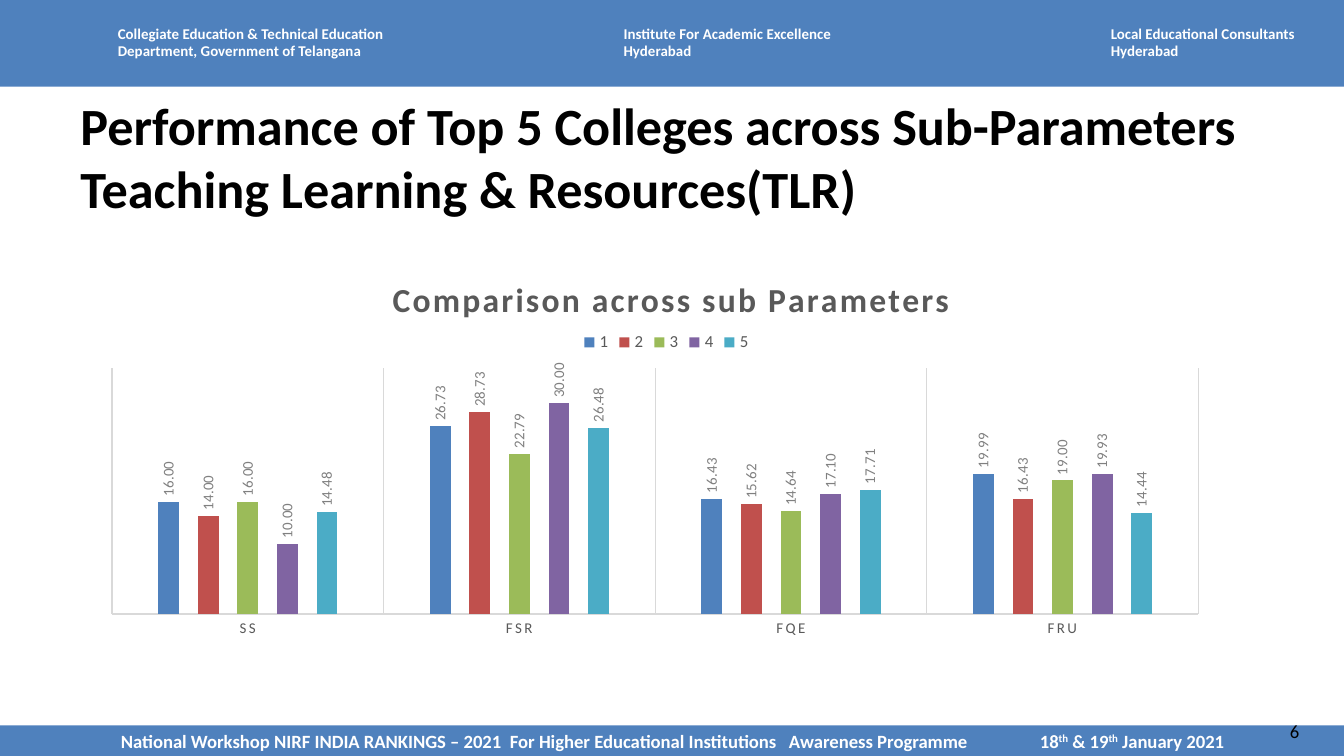
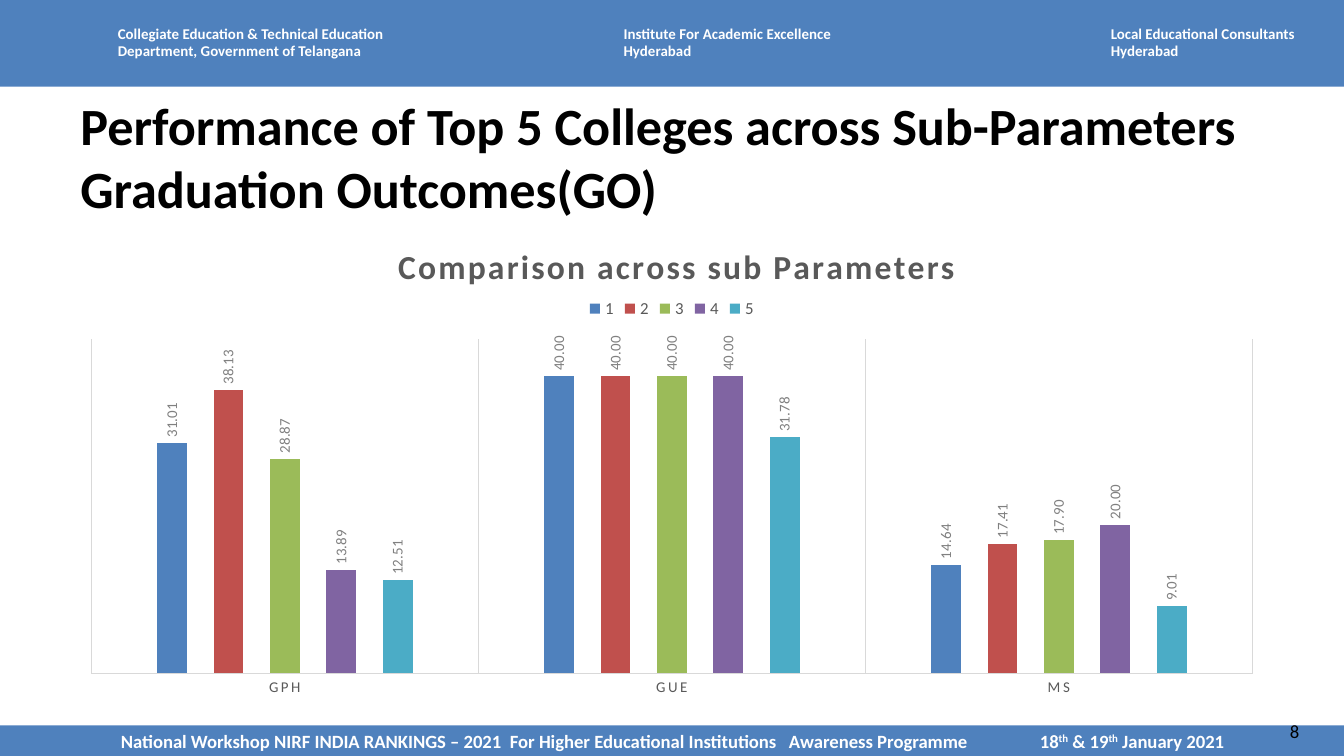
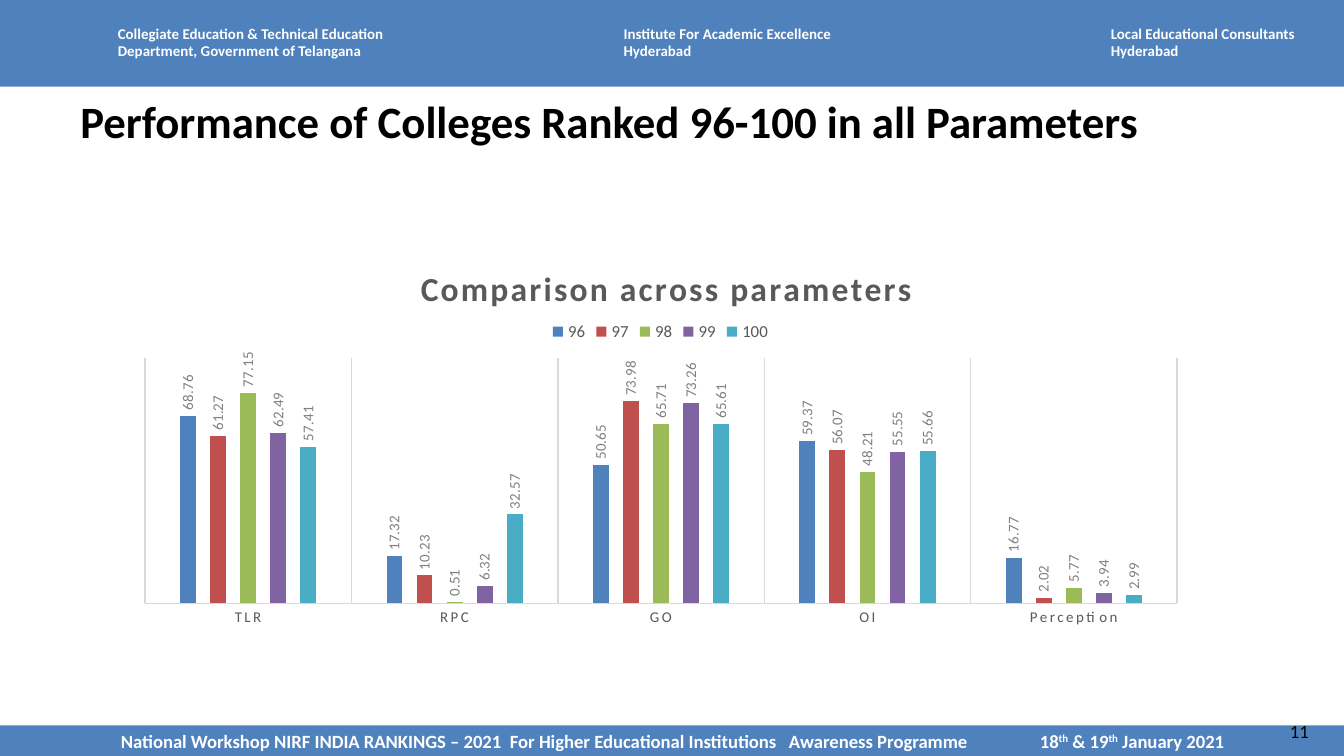
from lxml.etree import SubElement
from pptx import Presentation
from pptx.chart.data import CategoryChartData
from pptx.dml.color import RGBColor
from pptx.enum.chart import XL_CHART_TYPE, XL_LABEL_POSITION, XL_LEGEND_POSITION, XL_TICK_MARK
from pptx.enum.shapes import MSO_SHAPE
from pptx.enum.text import MSO_ANCHOR, PP_ALIGN
from pptx.oxml.ns import qn
from pptx.util import Pt

FONT = "Calibri"
BLUE, WHITE, BLACK = "4F81BD", "FFFFFF", "000000"
TEXT_GREY, LABEL_GREY, LINE_GREY = "595959", "808080", "D9D9D9"
SERIES_COLORS = [BLUE, "C0504D", "9BBB59", "8064A2", "4BACC6"]
WIDTH, HEIGHT = 720, 405
HEADER_HEIGHT, FOOTER_TOP = 46.5, 388.6
TITLE_TOP, LEGEND_TOP = 14.5, 45  # inside each chart
LETTER_SPACING = "120"  # hundredths of a point

# left, width, lines
ORGANISERS = [
    (56, 165, ["Collegiate Education & Technical Education",
               "Department, Government of Telangana"]),
    (327, 130, ["Institute For Academic Excellence", "Hyderabad"]),
    (588, 125, ["Local Educational Consultants", "Hyderabad"]),
]
FOOTER_INSET = 64.8
FOOTER_TABS = [208.4, 357.9, 492.3]
# text, raised
FOOTER = [
    ("National Workshop NIRF INDIA RANKINGS – 2021\tFor Higher Educational "
     "Institutions\tAwareness Programme\t18", False),
    ("th", True), (" & 19", False), ("th", True), (" January 2021", False),
]

SLIDES = [
    {
        "number": "6",
        "title": "Performance of Top 5 Colleges across Sub-Parameters "
                 "Teaching Learning & Resources(TLR)",
        "title_size": 28,
        "chart_at": (54, 130.3, 606.2, 216),
        "chart_title": "Comparison across sub Parameters",
        "chart_title_width": 300,
        "legend_width": 94,
        "plot_at": (0.01, 0.31, 0.96, 0.61),
        "maximum": 35,
        "categories": ["SS", "FSR", "FQE", "FRU"],
        "series": {
            "1": [16, 26.73, 16.43, 19.99],
            "2": [14, 28.73, 15.62, 16.43],
            "3": [16, 22.79, 14.64, 19],
            "4": [10, 30, 17.1, 19.93],
            "5": [14.48, 26.48, 17.71, 14.44],
        },
    },
    {
        "number": "8",
        "title": "Performance of Top 5 Colleges across Sub-Parameters "
                 "Graduation Outcomes(GO)",
        "title_size": 28,
        "chart_at": (36, 112.3, 648, 267.1),
        "chart_title": "Comparison across sub Parameters",
        "chart_title_width": 300,
        "legend_width": 94,
        "plot_at": (0.02, 0.26, 0.96, 0.67),
        "maximum": 45,
        "categories": ["GPH", "GUE", "MS"],
        "series": {
            "1": [31.01, 40, 14.64],
            "2": [38.13, 40, 17.41],
            "3": [28.87, 40, 17.9],
            "4": [13.89, 40, 20],
            "5": [12.51, 31.78, 9.01],
        },
    },
    {
        "number": "11",
        "title": "Performance of Colleges Ranked 96-100 in all Parameters",
        "title_size": 24,
        "chart_at": (66.2, 124.6, 576, 216),
        "chart_title": "Comparison across parameters",
        "chart_title_width": 264,
        "legend_width": 122,
        "plot_at": (0.02, 0.31, 0.96, 0.61),
        "maximum": 90,
        "categories": ["TLR", "RPC", "GO", "OI", "Perception"],
        "series": {
            "96": [68.76, 17.32, 50.65, 59.37, 16.77],
            "97": [61.27, 10.23, 73.98, 56.07, 2.02],
            "98": [77.15, 0.51, 65.71, 48.21, 5.77],
            "99": [62.49, 6.32, 73.26, 55.55, 3.94],
            "100": [57.41, 32.57, 65.61, 55.66, 2.99],
        },
    },
]


def color(value):
    return RGBColor.from_string(value)


def style_font(font, size, value, bold=False):
    font.name, font.size, font.bold = FONT, Pt(size), bold
    font.color.rgb = color(value)


def add_span(para, text, size, value, bold=False):
    span = para.add_run()
    span.text = text
    style_font(span.font, size, value, bold)
    return span


def add_text(slide, at, lines, size, value, bold=False):
    box = slide.shapes.add_textbox(*map(Pt, at))
    frame = box.text_frame
    frame.word_wrap = True
    for index, line in enumerate(lines):
        para = frame.add_paragraph() if index else frame.paragraphs[0]
        add_span(para, line, size, value, bold)


def add_band(slide, top, height):
    band = slide.shapes.add_shape(MSO_SHAPE.RECTANGLE, 0, Pt(top), Pt(WIDTH), Pt(height))
    band.shadow.inherit = False
    band.fill.solid()
    band.fill.fore_color.rgb = color(BLUE)
    band.line.fill.background()
    return band


def add_header(slide):
    add_band(slide, 0, HEADER_HEIGHT)
    for left, width, lines in ORGANISERS:
        add_text(slide, (left, 9.4, width, 26.6), lines, 8, WHITE, True)


def add_footer(slide, number):
    frame = add_band(slide, FOOTER_TOP, HEIGHT - FOOTER_TOP).text_frame
    frame.vertical_anchor = MSO_ANCHOR.MIDDLE
    frame.margin_left, frame.margin_right = Pt(FOOTER_INSET), 0
    frame.word_wrap = True
    para = frame.paragraphs[0]
    para.alignment = PP_ALIGN.LEFT
    tabs = SubElement(para._p.get_or_add_pPr(), qn("a:tabLst"))
    for position in FOOTER_TABS:
        SubElement(tabs, qn("a:tab"), pos=str(int(Pt(position))), algn="l")
    for text, raised in FOOTER:
        span = add_span(para, text, 10, WHITE, True)
        if raised:
            span._r.get_or_add_rPr().set("baseline", "30000")
    add_text(slide, (684, 382.3, 36, 19.4), [number], 10, BLACK)


def place(element, **fractions):
    """Give a chart part a fixed place, as fractions of the chart."""
    for old in element.findall(qn("c:layout")):
        element.remove(old)
    layout = element.makeelement(qn("c:layout"))
    overlay = element.find(qn("c:overlay"))
    if overlay is None:
        element.insert(0, layout)
    else:
        overlay.addprevious(layout)
    manual = SubElement(layout, qn("c:manualLayout"))
    if "w" in fractions:
        SubElement(manual, qn("c:layoutTarget"), val="inner")
    for mode in ("xMode", "yMode"):
        SubElement(manual, qn("c:" + mode), val="edge")
    for name, fraction in fractions.items():
        SubElement(manual, qn("c:" + name), val=f"{fraction:.4f}")


def style_axes(chart, maximum):
    values = chart.value_axis
    values.minimum_scale, values.maximum_scale = 0, maximum
    values.has_major_gridlines = False
    values.tick_labels.number_format = "0.00"
    values.tick_labels.number_format_is_linked = False
    values.visible = False
    axis = chart.category_axis
    axis.major_tick_mark = axis.minor_tick_mark = XL_TICK_MARK.NONE
    axis.has_major_gridlines = True
    for line in (axis.format.line, axis.major_gridlines.format.line):
        line.width = Pt(0.75)
        line.color.rgb = color(LINE_GREY)
    style_font(axis.tick_labels.font, 8, TEXT_GREY)
    axis._element.find(".//" + qn("a:defRPr")).set("spc", LETTER_SPACING)


def style_series(series, value):
    series.smooth = False if hasattr(series, "smooth") else None
    series.format.fill.solid()
    series.format.fill.fore_color.rgb = color(value)
    labels = series.data_labels
    labels.show_value = True
    labels.position = XL_LABEL_POSITION.OUTSIDE_END
    labels.number_format = "0.00"
    labels.number_format_is_linked = False
    style_font(labels.font, 8, LABEL_GREY)
    body = labels._element.find(".//" + qn("a:bodyPr"))
    body.set("rot", "-5400000")
    body.set("vert", "horz")


def add_comparison(slide, content):
    data = CategoryChartData(number_format="0.00")
    data.categories = content["categories"]
    for name, values in content["series"].items():
        data.add_series(name, values)
    at = content["chart_at"]
    width, height = at[2:]
    chart = slide.shapes.add_chart(XL_CHART_TYPE.COLUMN_CLUSTERED, *map(Pt, at), data).chart
    style_font(chart.font, 10, BLACK)

    chart.has_title = True
    para = chart.chart_title.text_frame.paragraphs[0]
    span = add_span(para, content["chart_title"], 18, TEXT_GREY, True)
    span._r.get_or_add_rPr().set("spc", LETTER_SPACING)
    place(chart.chart_title._element,
          x=(1 - content["chart_title_width"] / width) / 2, y=TITLE_TOP / height)

    chart.has_legend = True
    legend = chart.legend
    legend.position = XL_LEGEND_POSITION.TOP
    legend.include_in_layout = False
    style_font(legend.font, 9, TEXT_GREY)
    place(legend._element,
          x=(1 - content["legend_width"] / width) / 2, y=LEGEND_TOP / height)

    plot = chart.plots[0]
    plot.gap_width, plot.overlap, plot.vary_by_categories = 444, -90, False
    place(chart._chartSpace.find(".//" + qn("c:plotArea")),
          **dict(zip("xywh", content["plot_at"])))
    style_axes(chart, content["maximum"])
    for series, value in zip(plot.series, SERIES_COLORS):
        style_series(series, value)


def main():
    deck = Presentation()
    deck.slide_width, deck.slide_height = Pt(WIDTH), Pt(HEIGHT)
    for content in SLIDES:
        slide = deck.slides.add_slide(deck.slide_layouts[6])
        add_header(slide)
        add_footer(slide, content["number"])
        add_text(slide, (36, HEADER_HEIGHT, 648, 37.4), [content["title"]],
                 content["title_size"], BLACK, True)
        add_comparison(slide, content)
    deck.save("out.pptx")


if __name__ == "__main__":
    main()
